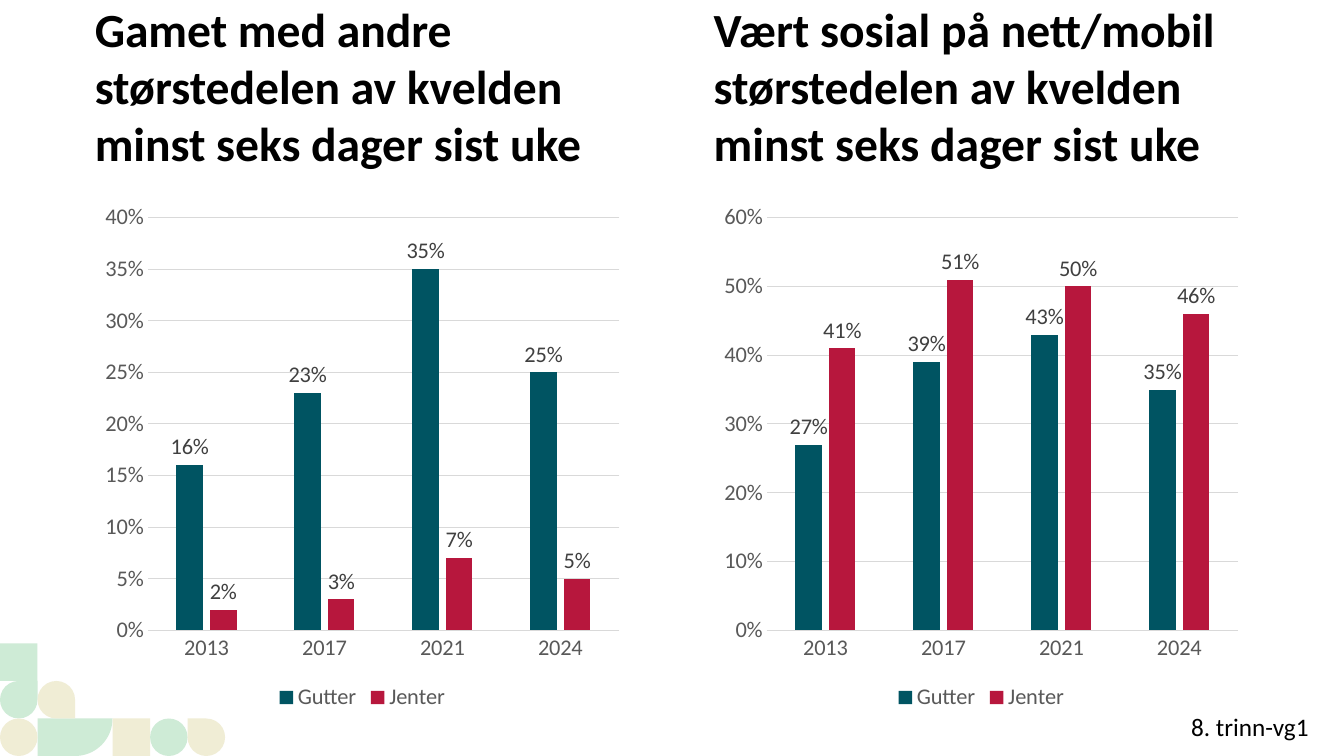
from math import cos, pi, sin

from pptx import Presentation
from pptx.chart.data import CategoryChartData
from pptx.dml.color import RGBColor
from pptx.enum.chart import XL_CHART_TYPE as ChartType
from pptx.enum.chart import XL_LABEL_POSITION as LabelPosition
from pptx.enum.chart import XL_LEGEND_POSITION as LegendPosition
from pptx.enum.chart import XL_TICK_MARK as TickMark
from pptx.enum.shapes import MSO_SHAPE as Preset
from pptx.enum.text import MSO_ANCHOR as Anchor
from pptx.enum.text import MSO_AUTO_SIZE as AutoSize
from pptx.enum.text import PP_ALIGN as Align
from pptx.util import Pt

COLORS = {
    "text": "000000", "axis": "595959", "label": "404040", "grid": "D9D9D9",
    "Gutter": "005462", "Jenter": "B7173D", "mint": "CEEBD6", "sand": "F0EDD5",
}
FONT = "Calibri"
PERCENT = "###0%"
YEARS = ["2013", "2017", "2021", "2024"]
SLIDE_WIDTH, SLIDE_HEIGHT = 960, 540
TILE = 26.8
COLUMN_WIDTH = 382.3

PANELS = [
    dict(left=67.7, title="Gamet med andre størstedelen av kvelden minst seks dager sist uke",
         values={"Gutter": [0.16, 0.23, 0.35, 0.25], "Jenter": [0.02, 0.03, 0.07, 0.05]},
         top_value=0.4, step=0.05),
    dict(left=509.8, title="Vært sosial på nett/mobil størstedelen av kvelden minst seks dager sist uke",
         values={"Gutter": [0.27, 0.39, 0.43, 0.35], "Jenter": [0.41, 0.51, 0.5, 0.46]},
         top_value=0.6, step=0.1),
]

# Preset, column, row up from the slide's bottom edge, colour, rotation
TILES = [
    (Preset.RECTANGLE, 0, 3, "mint", 0),
    (Preset.TEAR, 0, 2, "mint", 0),
    (Preset.TEAR, 1, 2, "sand", 90),
    (Preset.OVAL, 0, 1, "sand", 0),
    (Preset.RECTANGLE, 3, 1, "sand", 0),
    (Preset.OVAL, 4, 1, "mint", 0),
    (Preset.TEAR, 5, 1, "sand", 270),
]


def color(name):
    return RGBColor.from_string(COLORS[name])


def format_font(font, size, color_name, bold=False):
    font.name, font.size, font.bold = FONT, Pt(size), bold
    font.color.rgb = color(color_name)


def write_text(box, text, size=18, bold=False, anchor=Anchor.TOP, inset=None):
    frame = box.text_frame
    frame.word_wrap = True
    frame.auto_size = AutoSize.NONE
    frame.vertical_anchor = anchor
    if inset is not None:
        frame.margin_left = frame.margin_right = Pt(inset)
        frame.margin_top = frame.margin_bottom = Pt(inset)
    para = frame.paragraphs[0]
    para.alignment = Align.LEFT
    span = para.add_run()
    span.text = text
    format_font(span.font, size, "text", bold)


class SlideBuilder:
    def __init__(self, slide):
        self.slide = slide
        self.shapes = slide.shapes

    def paint(self, shape, color_name):
        shape.shadow.inherit = False
        shape.fill.solid()
        shape.fill.fore_color.rgb = color(color_name)
        shape.line.fill.background()

    def tile(self, preset, column, row, color_name, rotation):
        shape = self.shapes.add_shape(preset, Pt(column * TILE), Pt(SLIDE_HEIGHT - row * TILE),
                                      Pt(TILE), Pt(TILE))
        shape.rotation = rotation
        self.paint(shape, color_name)

    def rounded_tile(self, column, color_name):
        """Two tiles wide on the bottom row, with a quarter-circle lower right corner."""
        left, top = column * TILE, SLIDE_HEIGHT - TILE
        angles = [step * pi / 48 for step in range(25)]
        arc = [(left + TILE * (1 + cos(angle)), top + TILE * sin(angle)) for angle in angles]
        outline = self.shapes.build_freeform(Pt(left), Pt(top))
        outline.add_line_segments([(Pt(x), Pt(y)) for x, y in arc + [(left, SLIDE_HEIGHT)]])
        self.paint(outline.convert_to_shape(), color_name)

    def heading(self, left, text, placeholder=None):
        area = Pt(left), Pt(81.4), Pt(COLUMN_WIDTH), Pt(41)
        box = placeholder or self.shapes.add_textbox(*area)
        box.left, box.top, box.width, box.height = area
        write_text(box, text, size=34, bold=True, anchor=Anchor.BOTTOM, inset=0)

    def note(self, left, top, width, height, text):
        box = self.shapes.add_textbox(Pt(left), Pt(top), Pt(width), Pt(height))
        write_text(box, text)

    def column_chart(self, left, values, top_value, step):
        data = CategoryChartData(number_format=PERCENT)
        data.categories = YEARS
        for name, numbers in values.items():
            data.add_series(name, numbers)
        chart = self.shapes.add_chart(ChartType.COLUMN_CLUSTERED, Pt(left), Pt(138.2),
                                      Pt(COLUMN_WIDTH), Pt(373), data).chart
        format_font(chart.font, 16, "text")
        chart.has_title = False
        chart.has_legend = True
        chart.legend.position = LegendPosition.BOTTOM
        chart.legend.include_in_layout = False
        format_font(chart.legend.font, 16, "axis")
        self.axes(chart, top_value, step)
        self.columns(chart.plots[0])

    def axes(self, chart, top_value, step):
        years, shares = chart.category_axis, chart.value_axis
        for axis in (years, shares):
            axis.major_tick_mark = axis.minor_tick_mark = TickMark.NONE
            format_font(axis.tick_labels.font, 16, "axis")
        shares.minimum_scale, shares.maximum_scale = 0, top_value
        shares.major_unit = step
        shares.tick_labels.number_format = PERCENT
        shares.tick_labels.number_format_is_linked = False
        shares.format.line.fill.background()
        for line in (years.format.line, shares.major_gridlines.format.line):
            line.color.rgb = color("grid")
            line.width = Pt(0.75)

    def columns(self, plot):
        plot.gap_width, plot.overlap = 219, -27
        plot.vary_by_categories = False
        for series in plot.series:
            series.invert_if_negative = False
            series.format.fill.solid()
            series.format.fill.fore_color.rgb = color(series.name)
            labels = series.data_labels
            labels.show_value = True
            labels.position = LabelPosition.OUTSIDE_END
            labels.number_format = PERCENT
            labels.number_format_is_linked = False
            format_font(labels.font, 16, "label")


def main():
    deck = Presentation()
    deck.slide_width, deck.slide_height = Pt(SLIDE_WIDTH), Pt(SLIDE_HEIGHT)
    page = deck.slides.add_slide(deck.slide_layouts[5])
    builder = SlideBuilder(page)

    builder.rounded_tile(1, "mint")
    for tile in TILES:
        builder.tile(*tile)

    for panel, placeholder in zip(PANELS, (page.shapes.title, None)):
        builder.heading(panel["left"], panel["title"], placeholder)
        builder.column_chart(panel["left"], panel["values"], panel["top_value"], panel["step"])
    builder.note(843.8, 504.7, 105.1, 28.8, "8. trinn-vg1")

    deck.save("out.pptx")


if __name__ == "__main__":
    main()
